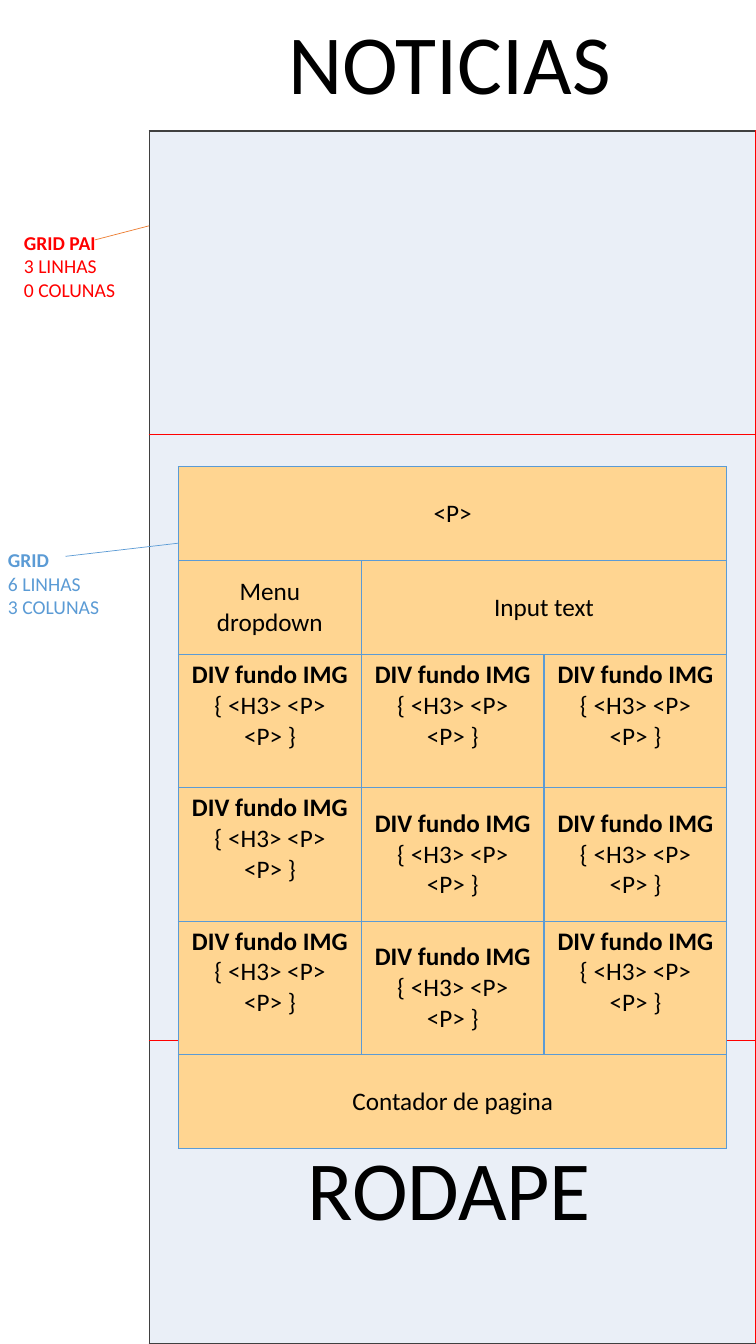
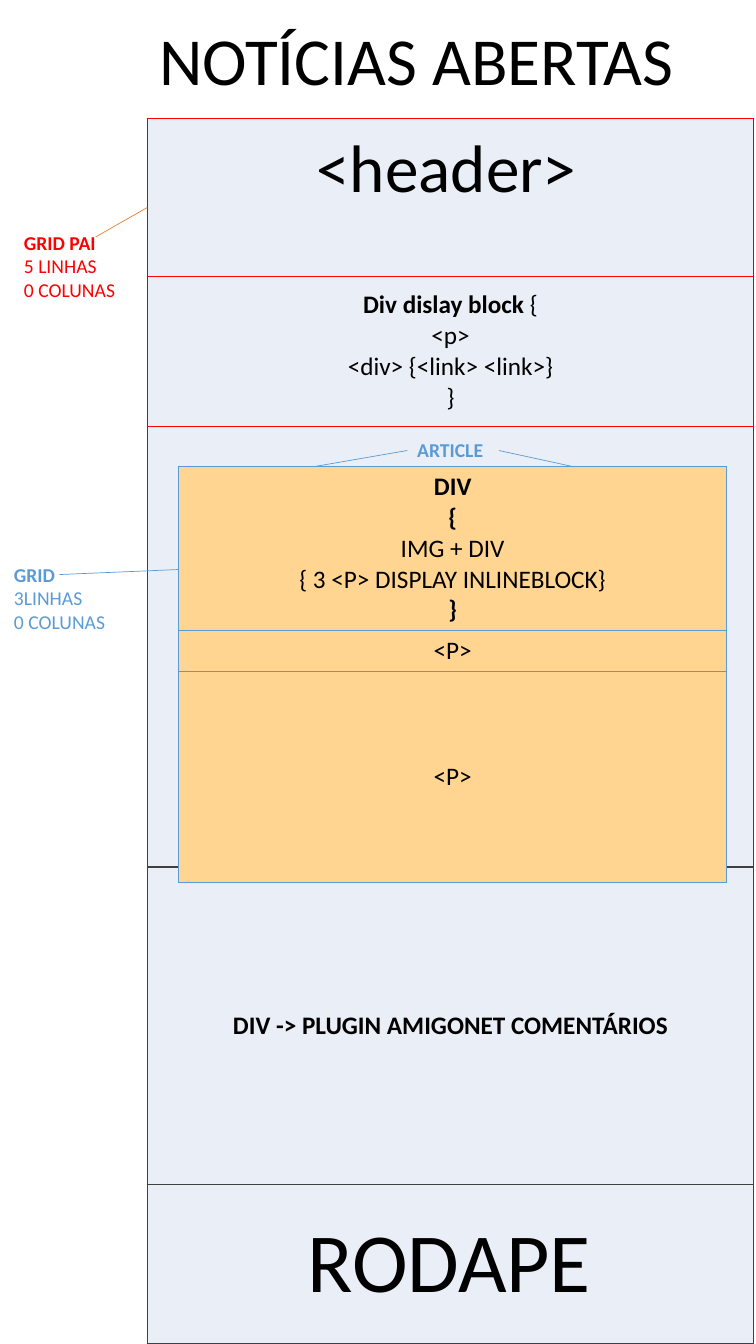
"""Builds two wireframe slides for a news site: the news list and an open article."""
import pptx
import pptx.dml.color
import pptx.enum.shapes
import pptx.enum.text
import pptx.oxml
import pptx.oxml.ns
import pptx.util

Pt = pptx.util.Pt
ALIGN = pptx.enum.text.PP_ALIGN
ANCHOR = pptx.enum.text.MSO_ANCHOR

FONT = "Calibri"
BLACK, RED, BLUE, ORANGE = "000000", "FF0000", "5B9BD5", "ED7D31"
DARK, PALE, SAND = "404040", "EAEFF7", "FFD591"
PAGE_WIDTH, PAGE_HEIGHT = 540, 960
SECTION_WIDTH = 433.4
GRID_LEFT, GRID_TOP, GRID_WIDTH = 127.5, 333.4, 391.7

CARD = [[("DIV fundo IMG\n", True), ("{ <H3> <P> <P> }", False)]]


def plain(text, bold=False):
    return [[(text, bold)]]


def note(title, rows, columns):
    return [[(title + "\n", True), (f"{rows}\n{columns}", False)]]


PAGES = [
    {
        "sections": {
            "left": 106.5, "top": 93.6, "heights": [216.6, 433.2, 216.6],
            "rules": [DARK, RED, RED, DARK], "sides": (DARK, RED), "texts": {},
        },
        "grid": {
            "columns": 3, "heights": [67.1, 67.1, 95.2, 95.2, 95.2, 67.1],
            "merges": [((0, 0), (0, 2)), ((1, 1), (1, 2)), ((5, 0), (5, 2))],
            "texts": {
                (0, 0): plain("<P>"),
                (1, 0): plain("Menu dropdown"),
                (1, 1): plain("Input text"),
                **{(row, column): CARD for row in (2, 3, 4) for column in range(3)},
                (5, 0): plain("Contador de pagina"),
            },
            "raised": [(2, 0), (2, 1), (2, 2), (3, 0), (4, 0), (4, 2)],
        },
        "labels": [
            (198.7, 4.3, 259.2, 80, plain("NOTICIAS"), {"size": 60}),
            (10, 161.3, 96.5, 58.2, note("GRID PAI", "3 LINHAS", "0 COLUNAS"), {"size": 14, "color": RED}),
            (-1.4, 388, 96.5, 58.2, note("GRID", "6 LINHAS", "3 COLUNAS"), {"size": 14, "color": BLUE}),
            (212.4, 808.6, 222.5, 80, plain("RODAPE"), {"size": 60}),
        ],
        "pointers": [
            (106.5, 161.3, 67.7, 171.4, ORANGE),
            (127.5, 388, 46.8, 397.4, BLUE),
        ],
    },
    {
        "sections": {
            "left": 105.1, "top": 84.6, "heights": [112.8, 107.3, 314.6, 226.8, 113.8],
            "rules": [RED, RED, RED, DARK, DARK, DARK], "sides": (DARK, DARK),
            "texts": {
                (1, 0): [
                    [("Div dislay block ", True), ("{", False)],
                    [("<p>\n<div> {<link> <link>}\n}", False)],
                ],
                (3, 0): plain("DIV -> PLUGIN AMIGONET COMENTÁRIOS", True),
            },
        },
        "grid": {
            "columns": 1, "heights": [117.2, 29.2, 150.5], "merges": [], "raised": [],
            "texts": {
                (0, 0): [
                    [("DIV", True)],
                    [("{", True)],
                    [("IMG + DIV\n{ 3 <P> DISPLAY INLINEBLOCK}", False)],
                    [("}", True)],
                ],
                (1, 0): plain("<P>"),
                (2, 0): plain("<P>"),
            },
        },
        "labels": [
            (106.6, 9.4, 426.2, 65.5, plain("NOTÍCIAS ABERTAS"), {"size": 48}),
            (10, 161.3, 96.5, 58.2, note("GRID PAI", "5 LINHAS", "0 COLUNAS"), {"size": 14, "color": RED}),
            (2.9, 398.3, 96.5, 58.2, note("GRID", "3LINHAS", "0 COLUNAS"), {"size": 14, "color": BLUE}),
            (105.1, 85.7, 427.7, 65.5, plain("<header>"), {"size": 48, "align": ALIGN.CENTER}),
            (212.4, 859.7, 222.5, 80, plain("RODAPE"), {"size": 60}),
            (290.9, 309.6, 65.5, 24.2, plain("ARTICLE", True), {"size": 14, "color": BLUE}),
        ],
        "pointers": [
            (105.1, 148.3, 68.4, 169.2, ORANGE),
            (127.5, 406.8, 42.5, 410.4, BLUE),
            (290.9, 321.8, 223.9, 333.4, BLUE),
            (356.4, 321.8, 409.7, 333.4, BLUE),
        ],
    },
]


def rgb(color):
    return pptx.dml.color.RGBColor.from_string(color)


def write(frame, paras, size=18, color=BLACK, align=ALIGN.LEFT):
    for index, spans in enumerate(paras):
        para = frame.paragraphs[0] if index == 0 else frame.add_paragraph()
        para.alignment = align
        for text, bold in spans:
            for number, line in enumerate(text.split("\n")):
                if number:
                    para.add_line_break()
                if line:
                    span = para.add_run()
                    span.text = line
                    span.font.name, span.font.size = FONT, Pt(size)
                    span.font.bold = bold
                    span.font.color.rgb = rgb(color)
        for line_break in para._p.findall(pptx.oxml.ns.qn("a:br")):
            line_break.get_or_add_rPr().set("sz", str(size * 100)) if hasattr(
                line_break, "get_or_add_rPr"
            ) else line_break.append(
                pptx.oxml.parse_xml(f'<a:rPr {pptx.oxml.ns.nsdecls("a")} sz="{size * 100}"/>')
            )


def set_borders(cell, colors):
    properties = cell._tc.get_or_add_tcPr()
    for index, (side, color) in enumerate(zip("LRTB", colors)):
        properties.insert(index, pptx.oxml.parse_xml(
            f'<a:ln{side} {pptx.oxml.ns.nsdecls("a")} w="12700"><a:solidFill>'
            f'<a:srgbClr val="{color}"/></a:solidFill></a:ln{side}>'
        ))


def add_grid(page, left, top, width, heights, texts, fill, rules, sides, columns=1, merges=(), raised=()):
    frame = page.shapes.add_table(
        len(heights), columns, Pt(left), Pt(top), Pt(width), Pt(sum(heights))
    )
    table = frame.table
    table.first_row = table.horz_banding = False
    for column in table.columns:
        column.width = Pt(width / columns)
    for row, height in enumerate(heights):
        table.rows[row].height = Pt(height)
        for column in range(columns):
            cell = table.cell(row, column)
            cell.fill.solid()
            cell.fill.fore_color.rgb = rgb(fill)
            cell.vertical_anchor = ANCHOR.TOP if (row, column) in raised else ANCHOR.MIDDLE
            set_borders(cell, (*sides, rules[row], rules[row + 1]))
            write(cell.text_frame, texts.get((row, column), []), align=ALIGN.CENTER)
    for first, last in merges:
        table.cell(*first).merge(table.cell(*last))


def add_label(page, left, top, width, height, paras, style):
    box = page.shapes.add_textbox(Pt(left), Pt(top), Pt(width), Pt(height))
    box.text_frame.word_wrap = True
    write(box.text_frame, paras, **style)


def add_pointer(page, start_x, start_y, end_x, end_y, color):
    line = page.shapes.add_connector(
        pptx.enum.shapes.MSO_CONNECTOR.STRAIGHT, Pt(start_x), Pt(start_y), Pt(end_x), Pt(end_y)
    )
    line.line.color.rgb = rgb(color)
    line.line.width = Pt(0.5)
    line._element.spPr.append(
        pptx.oxml.parse_xml(f'<a:effectLst {pptx.oxml.ns.nsdecls("a")}/>')
    )


deck = pptx.Presentation()
deck.slide_width, deck.slide_height = Pt(PAGE_WIDTH), Pt(PAGE_HEIGHT)
for content in PAGES:
    page = deck.slides.add_slide(deck.slide_layouts[6])
    add_grid(page, width=SECTION_WIDTH, fill=PALE, **content["sections"])
    grid = content["grid"]
    add_grid(
        page, GRID_LEFT, GRID_TOP, GRID_WIDTH, fill=SAND,
        rules=[BLUE] * (len(grid["heights"]) + 1), sides=(BLUE, BLUE), **grid,
    )
    for label in content["labels"]:
        add_label(page, *label)
    for pointer in content["pointers"]:
        add_pointer(page, *pointer)
deck.save("out.pptx")
